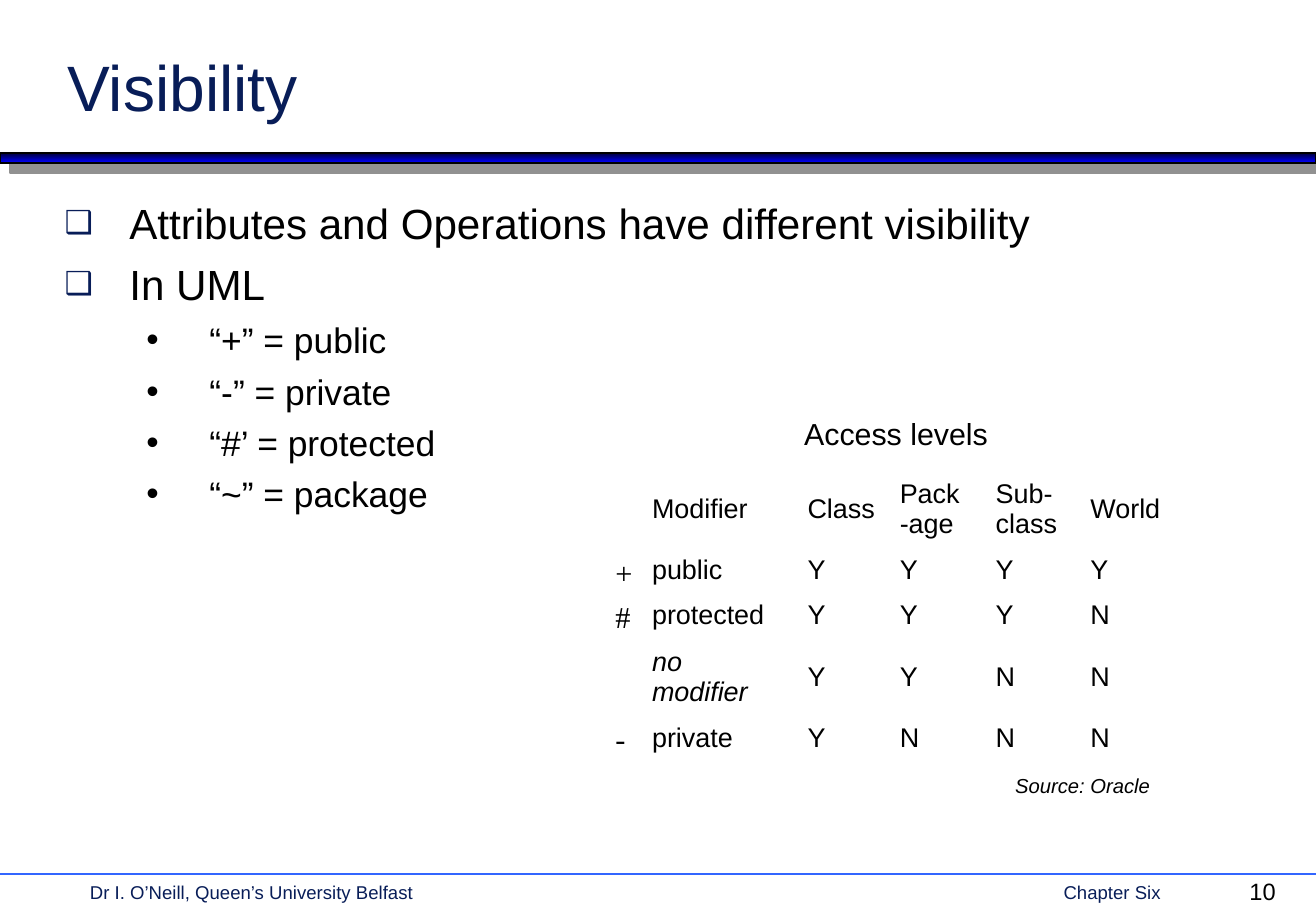
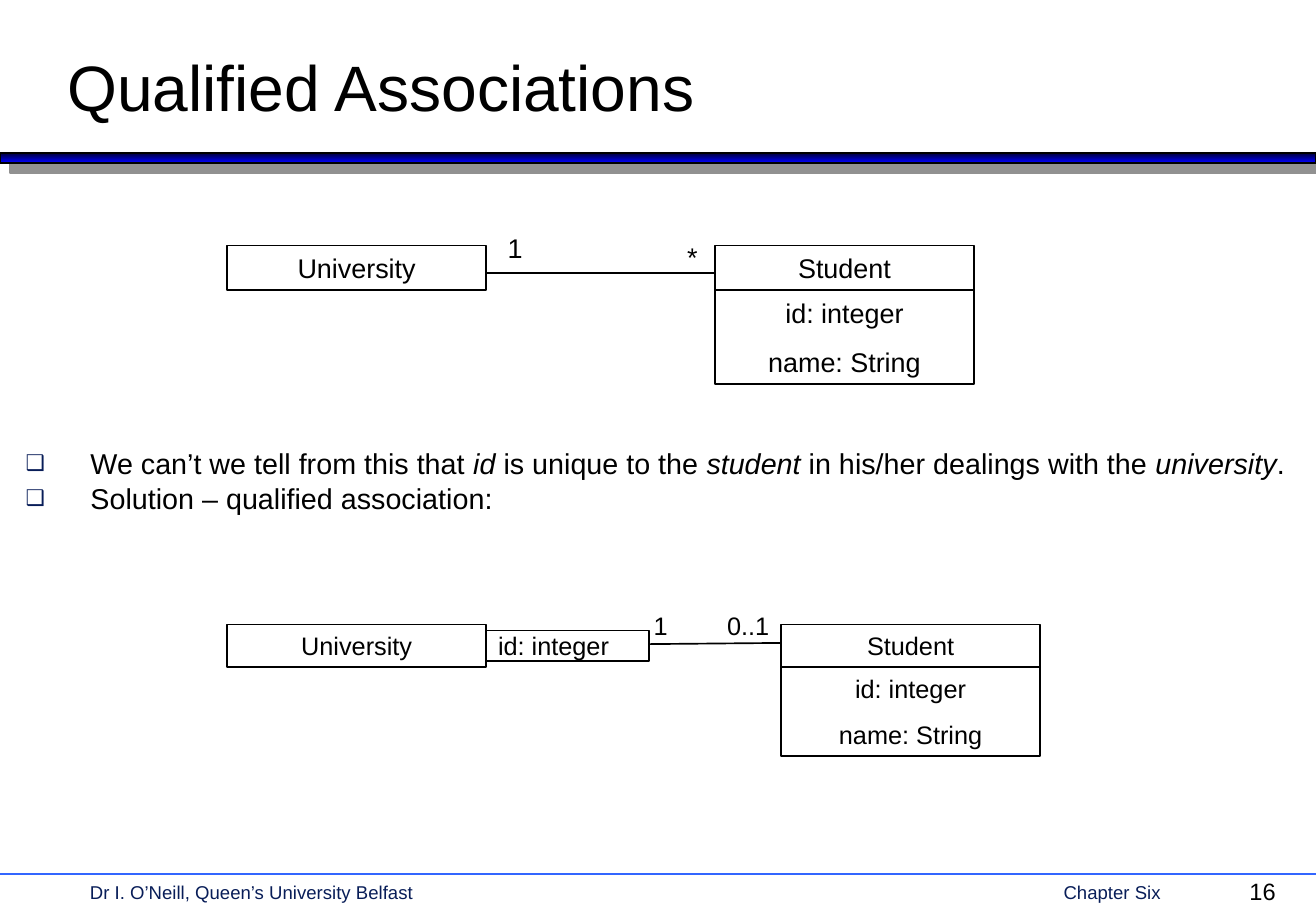
"""Build two lecture slides on UML visibility and qualified associations."""
import pptx
import pptx.dml.color
import pptx.enum.shapes
import pptx.enum.text
import pptx.oxml
import pptx.oxml.ns
import pptx.util

Pt = pptx.util.Pt
ALIGN = pptx.enum.text.PP_ALIGN
ANCHOR = pptx.enum.text.MSO_ANCHOR
RECTANGLE = pptx.enum.shapes.MSO_SHAPE.RECTANGLE
STRAIGHT = pptx.enum.shapes.MSO_CONNECTOR.STRAIGHT

PAGE_WIDTH, PAGE_HEIGHT = 780.25, 540
NAVY, BLACK = "081D58", "000000"
BAND_TOP, BAND_BOTTOM, BAND_SHADOW = "000036", "0000FF", "919191"
FOOTER_LINE = "3366FF"
CLASS_WIDTH = 153.4


def colour(value):
    """Turn a hex string into a colour."""
    return pptx.dml.color.RGBColor.from_string(value)


def element(xml):
    """Parse one drawing element given without its namespace."""
    name, rest = xml[1:].split(" ", 1)
    return pptx.oxml.parse_xml(f"<{name} {pptx.oxml.ns.nsdecls('a')} {rest}")


def place(shape, left, top, width, height):
    """Move and size a shape in points."""
    shape.left, shape.top = Pt(left), Pt(top)
    shape.width, shape.height = Pt(width), Pt(height)


def add_span(para, text, size, ink=BLACK, italic=False, font="Arial"):
    """Add one formatted run to a paragraph."""
    span = para.add_run()
    span.text = text
    span.font.name, span.font.size = font, Pt(size)
    span.font.italic = italic
    span.font.color.rgb = colour(ink)


def next_para(frame, index, gap=0):
    """Return the paragraph at an index, spaced from the one before."""
    para = frame.add_paragraph() if index else frame.paragraphs[0]
    para.space_before = Pt(gap if index else 0)
    return para


def add_label(page, left, top, width, text, size, align=ALIGN.LEFT, **style):
    """Add a one-line text box."""
    box = page.shapes.add_textbox(Pt(left), Pt(top), Pt(width), Pt(size * 1.2 + 7.2))
    box.text_frame.word_wrap = True
    para = next_para(box.text_frame, 0)
    para.alignment = align
    add_span(para, text, size, **style)


def add_line(page, start, end, ink=BLACK):
    """Draw a thin straight line between two points."""
    line = page.shapes.add_connector(STRAIGHT, *map(Pt, (*start, *end)))
    line.line.color.rgb = colour(ink)
    line.line.width = Pt(1)
    line._element.spPr.append(element("<a:effectLst />"))


def add_rectangle(page, left, top, width, height):
    """Add an unfilled rectangle with a black outline."""
    box = page.shapes.add_shape(RECTANGLE, Pt(left), Pt(top), Pt(width), Pt(height))
    box.shadow.inherit = False
    box.fill.background()
    box.line.color.rgb = colour(BLACK)
    box.line.width = Pt(1)
    return box


def add_compartment(page, left, top, lines, size, width=CLASS_WIDTH,
                    align=ALIGN.CENTER, margin=3.6):
    """Add an outlined box of text lines and return its bottom edge."""
    gap = size * 0.625
    height = len(lines) * size * 1.2 + (len(lines) - 1) * gap + 2 * margin
    box = add_rectangle(page, left, top, width, height)
    frame = box.text_frame
    frame.margin_top = frame.margin_bottom = Pt(margin)
    frame.vertical_anchor = ANCHOR.TOP
    for index, text in enumerate(lines):
        para = next_para(frame, index, gap)
        para.alignment = align
        add_span(para, text, size)
    return top + height


def add_student(page, left, top, size):
    """Draw the Student class with its attributes."""
    bottom = add_compartment(page, left, top, ["Student"], size)
    add_compartment(page, left, bottom, ["id: integer", "name: String"], size)


def add_band(page):
    """Draw the gradient band with its offset shadow."""
    band = add_rectangle(page, 0, 90.7, PAGE_WIDTH, 5.8)
    band.fill.gradient()
    band.fill.gradient_angle = 270
    for stop, ink in zip(band.fill.gradient_stops, (BAND_TOP, BAND_BOTTOM)):
        stop.color.rgb = colour(ink)
    effects = band._element.spPr.find(pptx.oxml.ns.qn("a:effectLst"))
    effects.append(element(
        f'<a:outerShdw dist="{Pt(8.5)}" dir="2700000" algn="ctr" rotWithShape="0">'
        f'<a:srgbClr val="{BAND_SHADOW}"/></a:outerShdw>'))


def add_page(deck, title, number, title_ink):
    """Add a slide with title, band and footer."""
    page = deck.slides.add_slide(deck.slide_layouts[1])
    add_band(page)
    add_line(page, (0, 518), (PAGE_WIDTH, 518), FOOTER_LINE)
    add_label(page, 46.2, 518.6, 300, "Dr I. O’Neill, Queen’s University Belfast", 11, ink=NAVY)
    add_label(page, 623.5, 518.6, 100, "Chapter Six", 11, ink=NAVY)
    add_label(page, 733.7, 516.5, 42, number, 14)
    heading = page.shapes.title
    place(heading, 32.7, 20.9, 666, 56.2)
    frame = heading.text_frame
    frame.auto_size = pptx.enum.text.MSO_AUTO_SIZE.NONE
    frame.vertical_anchor = ANCHOR.BOTTOM
    para = next_para(frame, 0)
    para.alignment = ALIGN.LEFT
    add_span(para, title, 38, title_ink)
    return page


def set_bullet(para, mark, ink, scale, left, hang):
    """Give a paragraph a bullet and a hanging indent."""
    properties = para._p.get_or_add_pPr()
    properties.set("marL", str(Pt(left)))
    properties.set("indent", str(-Pt(hang)))
    for xml in (f'<a:buClr ><a:srgbClr val="{ink}"/></a:buClr>',
                f'<a:buSzPct val="{scale * 1000}"/>',
                '<a:buFont typeface="Arial"/>',
                f'<a:buChar char="{mark}"/>'):
        properties.append(element(xml))


def fill_body(page, area, items, sizes, gaps, spacing=1.0):
    """Fill the body placeholder with items of a level and spans."""
    bullets = (("❑", NAVY, 75, 38.4, 38.4), ("•", BLACK, 100, 85.9, 37.4))
    body = page.placeholders[1]
    place(body, *area)
    body.text_frame.auto_size = pptx.enum.text.MSO_AUTO_SIZE.NONE
    for index, (level, spans) in enumerate(items):
        para = next_para(body.text_frame, index, gaps[level])
        para.level = level
        para.line_spacing = spacing
        set_bullet(para, *bullets[level])
        for position, text in enumerate(spans):
            add_span(para, text, sizes[level], italic=position % 2 == 1)


def add_access_table(page, left, top):
    """Add the table of access levels."""
    rows = (("Modifier", "Class", "Pack\n-age", "Sub-class", "World"),
            ("public", *"YYYY"),
            ("protected", *"YYYN"),
            ("no modifier", *"YYNN"),
            ("private", *"YNNN"))
    widths = (92.2, 54.7, 56.9, 56.2, 125.3)
    heights = (46.1, 26.7, 26.7, 46.1, 26.7)
    table = page.shapes.add_table(len(rows), len(widths), Pt(left), Pt(top),
                                  Pt(sum(widths)), Pt(sum(heights))).table
    table.first_row = table.horz_banding = False
    for column, width in zip(table.columns, widths):
        column.width = Pt(width)
    for row, height, texts in zip(table.rows, heights, rows):
        row.height = Pt(height)
        for cell, text in zip(row.cells, texts):
            cell.fill.background()
            cell.vertical_anchor = ANCHOR.MIDDLE
            para = cell.text_frame.paragraphs[0]
            for index, part in enumerate(text.split("\n")):
                if index:
                    para.add_line_break()
                add_span(para, part, 16, italic=text == "no modifier")


def add_symbols(page, left, top):
    """Add the UML symbols beside the table rows."""
    box = page.shapes.add_textbox(Pt(left), Pt(top), Pt(24), Pt(127.4))
    box.text_frame.word_wrap = True
    for index, (symbol, gap) in enumerate((("+", 0), ("#", 5), ("-", 50.5))):
        add_span(next_para(box.text_frame, index, gap), symbol, 18, font="Times New Roman")


def build_visibility(deck):
    """Build the slide on visibility."""
    page = add_page(deck, "Visibility", "10", NAVY)
    items = ((0, ["Attributes and Operations have different visibility"]),
             (0, ["In UML"]),
             (1, ["“+” = public"]),
             (1, ["“-” = private"]),
             (1, ["“#’ = protected"]),
             (1, ["“~” = package"]))
    fill_body(page, (31.1, 113.4, 719.3, 385.2), items, (25, 21), (6.3, 5.3))
    add_access_table(page, 379.4, 278.8)
    add_label(page, 469.7, 242.4, 124.6, "Access levels", 18)
    add_label(page, 569.5, 454.6, 119.5, "Source: Oracle", 12, ALIGN.RIGHT, italic=True)
    add_symbols(page, 357.8, 324.7)


def build_associations(deck):
    """Build the slide on qualified associations."""
    page = add_page(deck, "Qualified Associations", "16", BLACK)
    items = ((0, ["We can’t we tell from this that ", "id", " is unique to the ", "student",
                  " in his/her dealings with the ", "university", "."]),
             (0, ["Solution – qualified association:"]))
    fill_body(page, (8, 264.6, 772.2, 62.6), items, (17,), (4.6,), 0.8)

    university_left = 134.8
    university_right = university_left + CLASS_WIDTH
    add_compartment(page, university_left, 145.6, ["University"], 16)
    add_student(page, 424, 145.6, 16)
    add_line(page, (university_right, 162), (424, 162))
    add_label(page, 293.8, 133.5, 18, "1", 16)
    add_label(page, 400.3, 139, 22.3, "*", 16)

    qualifier_width = 96.5
    qualifier_right = university_right + qualifier_width
    add_compartment(page, university_left, 370.2, ["University"], 15)
    add_student(page, 463.2, 370.2, 15)
    add_compartment(page, university_right, 373.7, ["id: integer"], 15,
                    qualifier_width, ALIGN.LEFT, 0)
    add_line(page, (qualifier_right, 381.8), (463.2, 381.1))
    add_label(page, 380.4, 358.1, 18, "1", 15)
    add_label(page, 424, 358.1, 51, "0..1", 15)


def main():
    """Build and save the deck."""
    deck = pptx.Presentation()
    deck.slide_width, deck.slide_height = Pt(PAGE_WIDTH), Pt(PAGE_HEIGHT)
    build_visibility(deck)
    build_associations(deck)
    deck.save("out.pptx")


if __name__ == "__main__":
    main()
